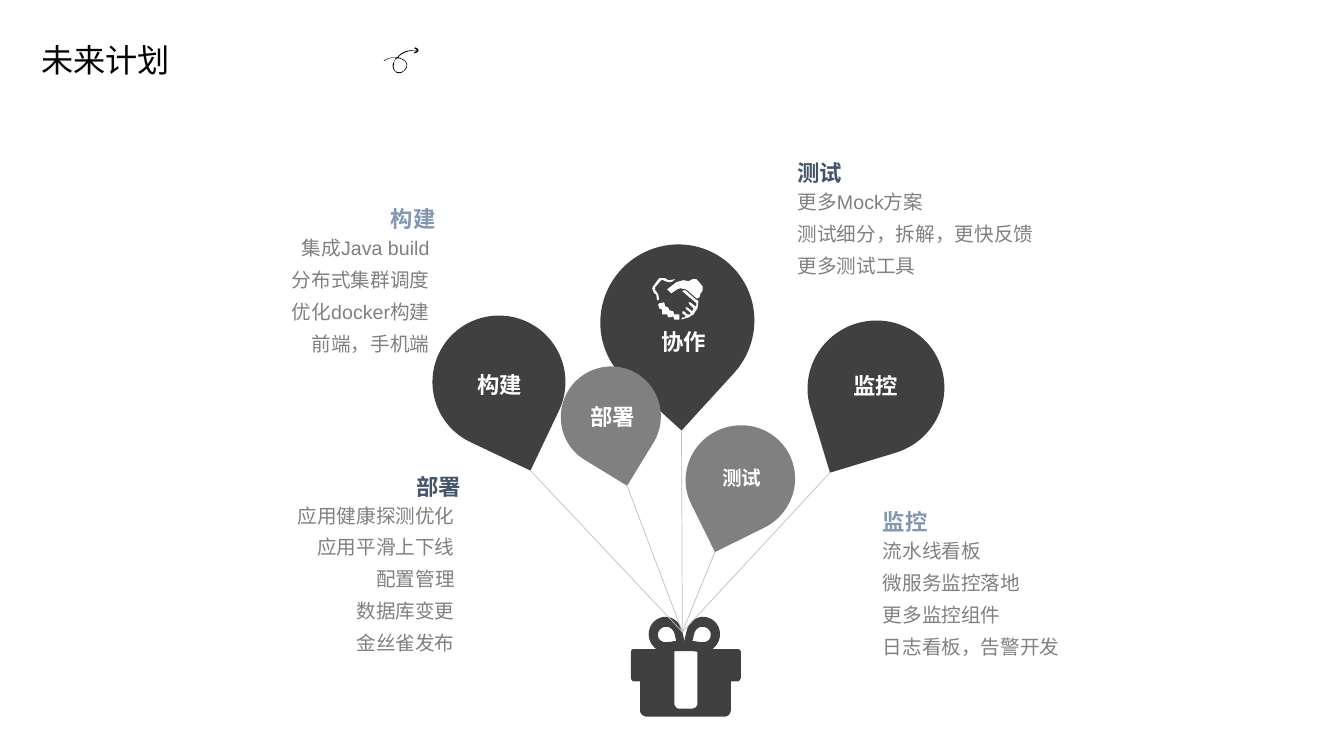
from math import cos, radians, sin

from lxml.etree import SubElement
from pptx import Presentation
from pptx.dml.color import RGBColor
from pptx.enum.shapes import MSO_CONNECTOR as Connector, MSO_SHAPE as Preset
from pptx.enum.text import MSO_AUTO_SIZE as AutoSize, PP_ALIGN as Align
from pptx.oxml.ns import qn
from pptx.util import Pt

FONT = "Arial"
BLACK = RGBColor(0x00, 0x00, 0x00)
WHITE = RGBColor(0xFF, 0xFF, 0xFF)
DARK = RGBColor(0x40, 0x40, 0x40)
GREY = RGBColor(0x80, 0x80, 0x80)
STRING_GREY = RGBColor(0xBF, 0xBF, 0xBF)
PALE_BLUE = RGBColor(0x84, 0x97, 0xB0)
DEEP_BLUE = RGBColor(0x44, 0x54, 0x6A)

GRID = 0.72  # points per unit of the icon outlines
CURVE_STEPS = 8
KNOT = (487.4, 451.4)
LABEL_HEIGHT = 26.6

# Outlines: a start point, then lines (x, y) or curves (two handles, end)
HAND_SLEEVE = [
    [(33, 13), (42, 21), (43, 22), (45, 23), (46, 24), (45, 31), (41, 37), (36, 40),
     (29, 42), (30, 40), (32, 40), (33, 39), (33, 38), (30, 36), (30, 34), (32, 34),
     (35, 37), (38, 37), (38, 35), (34, 32), (33, 30), (35, 30), (40, 34), (41, 31),
     (37, 27), (36, 25), (38, 25), (43, 29), (44, 28), (44, 26), (43, 25), (30, 14),
     (31, 13)],
    [(5, 23), (4, 17), (2, 16), (0, 11), (1, 9), (7, 1), (13, 1), (16, 3), (17, 3),
     (23, 2), (19, 5), (17, 5), (13, 4), (11, 3), (9, 3), (3, 10), (3, 13), (4, 14),
     (6, 17), (7, 22)],
]
HAND_GRIP = [
    [(27, 37), (23, 37), (22, 37), (21, 34), (18, 33), (17, 33), (16, 30), (13, 29),
     (12, 25), (7, 26), (6, 27), (7, 31), (10, 32), (10, 37), (15, 37), (16, 40),
     (21, 39), (22, 42), (27, 42)],
    [(35, 13), (44, 21), (45, 21), (47, 20), (48, 16), (49, 15), (50, 13), (50, 9),
     (44, 2), (40, 2), (38, 3), (36, 4), (31, 3), (24, 5), (15, 12), (19, 16),
     (25, 12), (28, 11), (33, 12)],
]
GIFT_BOX = [
    [(3, 33), (43, 33), (43, 87), (43, 89, 45, 92, 47, 92), (61, 92),
     (64, 92, 66, 89, 66, 87), (66, 33), (106, 33), (107, 33, 109, 34, 109, 36),
     (109, 61), (109, 63, 107, 65, 106, 65), (99, 65), (99, 94),
     (99, 97, 96, 100, 93, 100), (16, 100), (12, 100, 9, 97, 9, 94), (9, 65), (3, 65),
     (1, 65, 0, 63, 0, 61), (0, 36), (0, 34, 1, 33, 3, 33)],
]
BOW_LOOP = [
    [(37, 11), (36, 11, 35, 11, 33, 11), (29, 12, 26, 16, 27, 20),
     (27, 24, 32, 27, 36, 26), (39, 26, 42, 25, 45, 25), (44, 22, 44, 20, 43, 17),
     (42, 14, 40, 12, 37, 11)],
    [(32, 1), (41, 0, 49, 6, 51, 16), (55, 33), (38, 36), (29, 38, 20, 31, 18, 22),
     (16, 12, 22, 3, 32, 1)],
]
BOW_MIRROR = 106  # sum of the x values of mirrored bow points
SWIRL = [
    [(11, 24), (11, 24, 12, 24, 12, 25), (17, 27, 20, 24, 22, 21),
     (24, 18, 23, 14, 19, 12), (17, 11, 15, 10, 14, 10), (17, 6, 24, 3, 33, 3), (30, 5),
     (30, 6), (31, 6, 33, 5, 34, 4), (34, 3), (34, 2), (33, 1, 31, 0, 31, 0), (30, 1),
     (30, 1, 32, 2, 33, 3), (23, 2, 17, 5, 13, 10), (6, 9, 0, 13, 0, 13), (0, 14),
     (0, 13, 6, 10, 12, 10), (11, 12, 10, 14, 9, 16), (8, 19, 9, 22, 11, 24)],
    [(20, 13), (23, 16, 23, 19, 21, 21), (20, 24, 16, 26, 12, 24),
     (10, 23, 9, 20, 10, 16), (10, 14, 11, 12, 13, 11), (15, 11, 16, 11, 18, 12),
     (19, 13, 19, 13, 20, 13)],
]

# Edge of the text column, top, alignment, heading, colour, items
TOPICS = [
    (313.9, 143.3, Align.RIGHT, "构建", PALE_BLUE,
     ["集成Java build", "分布式集群调度", "优化docker构建", "前端，手机端"]),
    (331.9, 334.1, Align.RIGHT, "部署", DEEP_BLUE,
     ["应用健康探测优化", "应用平滑上下线", "配置管理", "数据库变更", "金丝雀发布"]),
    (623.5, 359.3, Align.LEFT, "监控", PALE_BLUE,
     ["流水线看板", "微服务监控落地", "更多监控组件", "日志看板，告警开发"]),
    (562.7, 110.2, Align.LEFT, "测试", DEEP_BLUE,
     ["更多Mock方案", "测试细分，拆解，更快反馈", "更多测试工具"]),
]
# Centre, size, rotation, colour, label, label centre x and top, label size
BALLOONS = [
    (625.7, 277.2, 97.9, 96.5, 163.1, DARK, "监控", 625.7, 262.1, 16),
    (528.8, 342.4, 78.5, 77, 153.7, GREY, "测试", 529.9, 329, 14),
    (483.8, 229.7, 110.9, 109.4, 132.4, DARK, "协作", 488.2, 231.1, 16),
    (436.3, 297.7, 72, 71.3, 121.4, GREY, "部署", 437.8, 284.4, 16),
    (356.4, 272.9, 95, 95, 115.4, DARK, "构建", 357.1, 261.4, 16),
]


def add_text(slide, box, lines, size, color, align=Align.LEFT, bold=False, after=0, wrap=True):
    frame = slide.shapes.add_textbox(*map(Pt, box)).text_frame
    frame.word_wrap = wrap
    frame.auto_size = AutoSize.SHAPE_TO_FIT_TEXT
    for index, line in enumerate(lines):
        paragraph = frame.add_paragraph() if index else frame.paragraphs[0]
        paragraph.alignment = align
        paragraph.space_after = Pt(after)
        run = paragraph.add_run()
        run.text = line
        run.font.name, run.font.size, run.font.bold = FONT, Pt(size), bold
        run.font.color.rgb = color


def paint(shape, color):
    shape.shadow.inherit = False
    shape.fill.solid()
    shape.fill.fore_color.rgb = color
    shape.line.fill.background()


def flatten(contour):
    points = [contour[0]]
    for segment in contour[1:]:
        if len(segment) == 2:
            points.append(segment)
            continue
        nodes = points[-1] + segment
        for step in range(1, CURVE_STEPS + 1):
            t = step / CURVE_STEPS
            weights = ((1 - t) ** 3, 3 * t * (1 - t) ** 2, 3 * t * t * (1 - t), t ** 3)
            points.append(tuple(sum(w * n for w, n in zip(weights, nodes[axis::2]))
                                for axis in (0, 1)))
    return [(Pt(x * GRID), Pt(y * GRID)) for x, y in points]


def add_outline(slide, left, top, contours, color):
    first, *others = map(flatten, contours)
    builder = slide.shapes.build_freeform(*first[0], scale=1.0)
    builder.add_line_segments(first[1:], close=True)
    for points in others:
        builder.move_to(*points[0])
        builder.add_line_segments(points[1:], close=True)
    paint(builder.convert_to_shape(Pt(left), Pt(top)), color)


def add_title(slide, left, top):
    add_text(slide, (left, top, 107.3, 35.3), ["未来计划"], 23, BLACK, wrap=False)
    add_outline(slide, left + 252, top + 8.6, SWIRL, BLACK)


def add_topic(slide, edge, top, align, heading, color, items):
    on_right = align == Align.RIGHT
    heading_left = edge + 4.3 - 158.4 if on_right else edge
    list_left = edge - 266.4 if on_right else edge
    add_text(slide, (list_left, top + 22, 266.4, 24 + 23 * (len(items) - 1)), items,
             14, GREY, align, after=6)
    add_text(slide, (heading_left, top, 158.4, LABEL_HEIGHT), [heading], 16, color, align, bold=True)


def add_balloon(slide, x, y, width, height, angle, color, label, label_x, label_top, size):
    balloon = slide.shapes.add_shape(Preset.TEAR, Pt(x - width / 2), Pt(y - height / 2),
                                     Pt(width), Pt(height))
    balloon.rotation = angle
    paint(balloon, color)
    add_text(slide, (label_x - 44, label_top, 88, LABEL_HEIGHT), [label], size, WHITE,
             Align.CENTER, bold=True)


def add_string(slide, x, y, width, height, angle):
    # The tip is the top right corner of the teardrop, turned about its centre
    c, s = cos(radians(angle)), sin(radians(angle))
    tip = (x + (width * c + height * s) / 2, y + (width * s - height * c) / 2)
    string = slide.shapes.add_connector(Connector.STRAIGHT, *map(Pt, tip + KNOT))
    string.line.color.rgb = STRING_GREY
    string.line.width = Pt(0.5)
    SubElement(string._element.spPr, qn("a:effectLst"))


def add_gift(slide, left, top):
    mirrored = [[tuple(BOW_MIRROR - value if i % 2 == 0 else value
                       for i, value in enumerate(segment)) for segment in contour]
                for contour in BOW_LOOP]
    for outline in (GIFT_BOX, BOW_LOOP, mirrored):
        add_outline(slide, left, top, outline, DARK)
    bar = slide.shapes.add_shape(Preset.ROUNDED_RECTANGLE, Pt(left + 20.9), Pt(top + 20.2),
                                 Pt(31.7), Pt(5))
    paint(bar, DARK)


def main():
    presentation = Presentation()
    presentation.slide_width, presentation.slide_height = Pt(960), Pt(540)
    slide = presentation.slides.add_slide(presentation.slide_layouts[6])
    add_title(slide, 22.3, 25.2)
    for topic in TOPICS:
        add_topic(slide, *topic)
    for balloon in BALLOONS:
        add_balloon(slide, *balloon)
    # Handshake on the largest balloon
    for hand in (HAND_SLEEVE, HAND_GRIP):
        add_outline(slide, 465.84, 198, hand, WHITE)
    add_gift(slide, 450.7, 439.9)
    for balloon in BALLOONS:
        add_string(slide, *balloon[:5])
    presentation.save("out.pptx")


if __name__ == "__main__":
    main()
